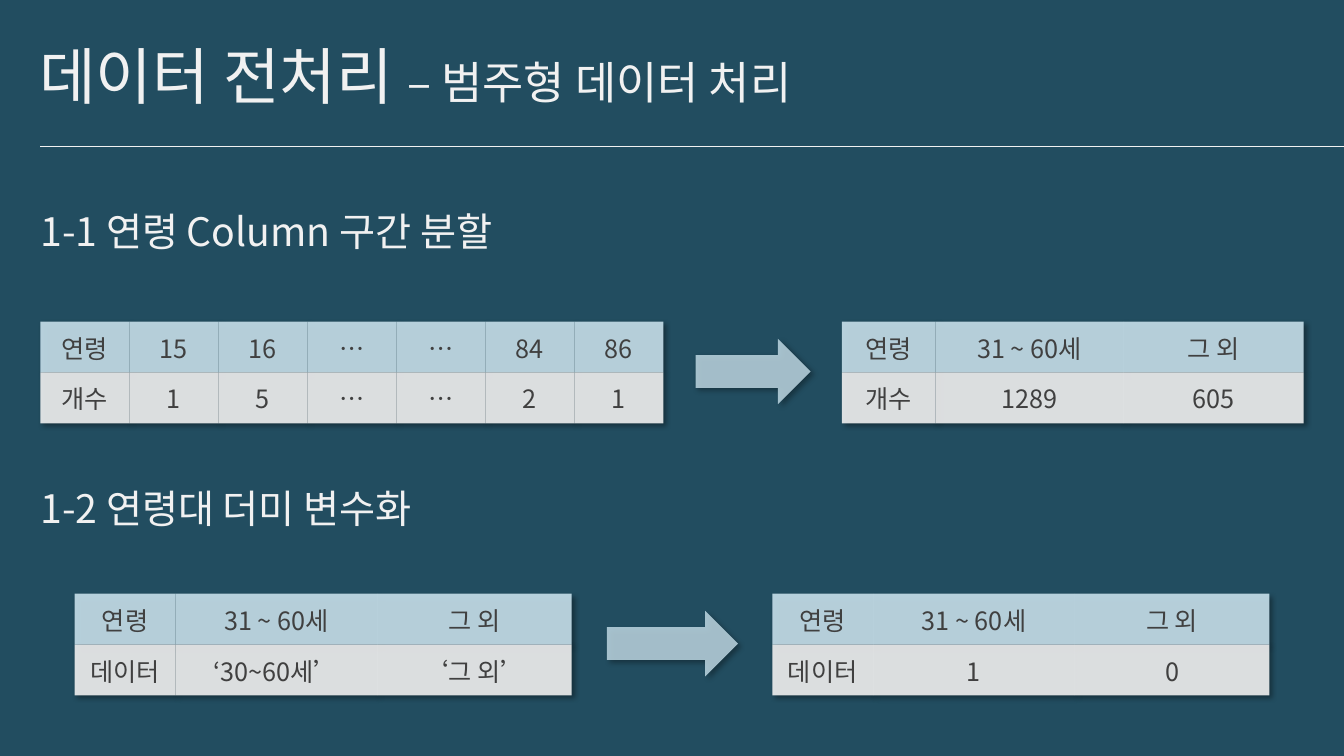
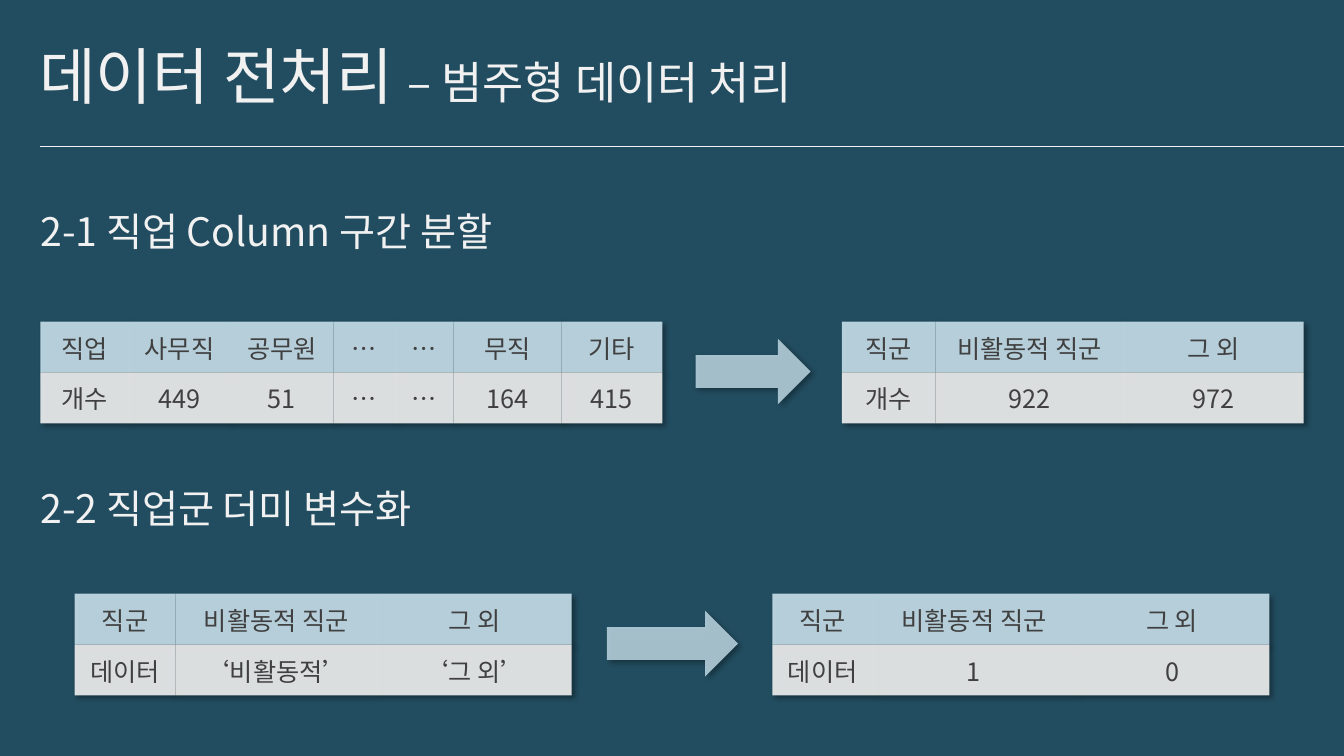
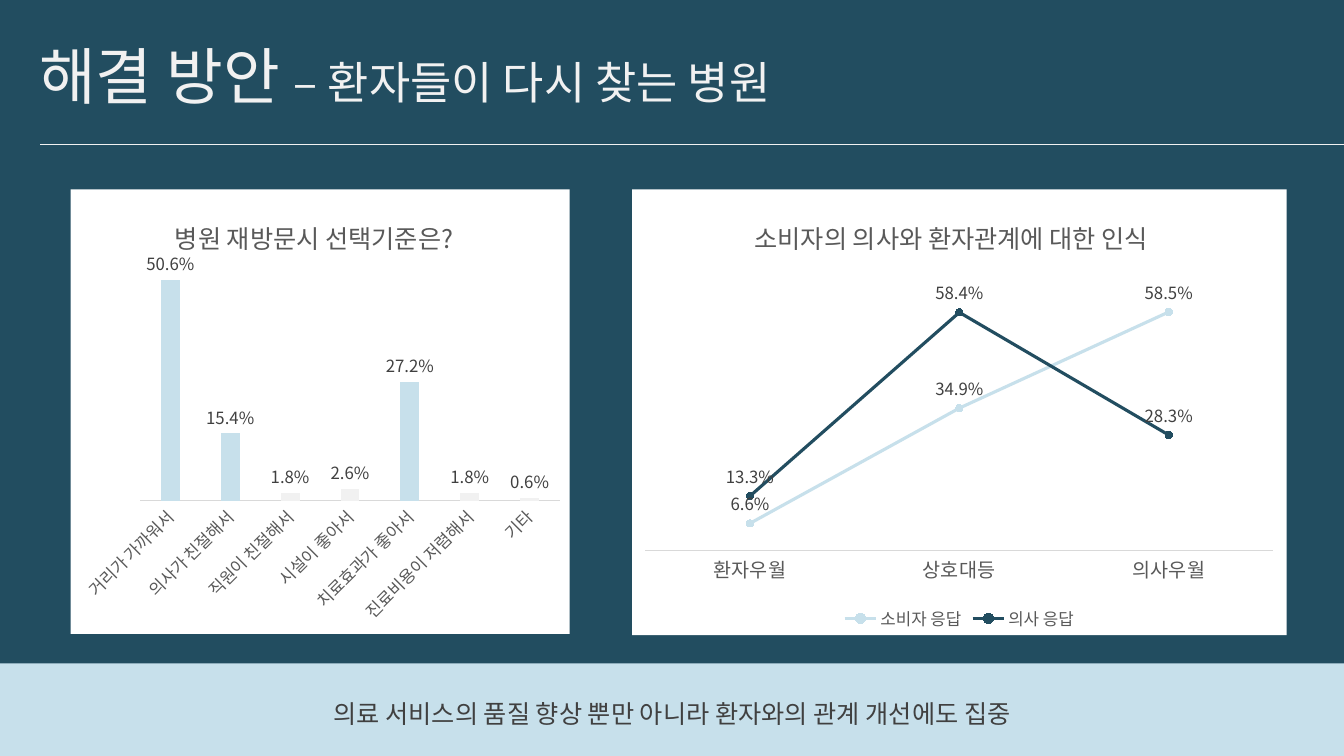
from dataclasses import dataclass

from lxml.etree import SubElement
from pptx import Presentation
from pptx.chart.data import CategoryChartData
from pptx.dml.color import RGBColor
from pptx.enum.chart import XL_CHART_TYPE as ChartType
from pptx.enum.chart import XL_LABEL_POSITION as LabelPosition
from pptx.enum.chart import XL_LEGEND_POSITION as LegendPosition
from pptx.enum.chart import XL_MARKER_STYLE as MarkerStyle
from pptx.enum.chart import XL_TICK_MARK as TickMark
from pptx.enum.shapes import MSO_CONNECTOR as Connector
from pptx.enum.shapes import MSO_SHAPE as Shape
from pptx.enum.text import MSO_ANCHOR as Anchor
from pptx.enum.text import MSO_AUTO_SIZE as AutoSize
from pptx.enum.text import PP_ALIGN as Align
from pptx.oxml import parse_xml
from pptx.oxml.ns import nsdecls, qn
from pptx.util import Inches, Pt


@dataclass(frozen=True)
class Theme:
    """Colours, type sizes and measures shared by the slides."""

    font: str = "Noto Sans CJK KR"
    navy: str = "224D60"
    sky: str = "C7E0EB"
    pale: str = "F1F1F1"
    ink: str = "404040"
    grey: str = "595959"
    rule: str = "D9D9D9"
    white: str = "FFFFFF"
    title: int = 44
    subtitle: int = 32
    heading: int = 28
    body: int = 18
    axis: int = 14
    label: int = 12
    width: float = 13.33
    margin: float = 0.4
    table_height: float = 1.01
    arrow_height: float = 0.65
    arrow_drop: float = 0.17


THEME = Theme()
NO_STYLE = "{2D5ABB26-0587-4C30-8999-92F81FD0307C}"


def rgb(value):
    """Turn a hex string into a colour."""
    return RGBColor.from_string(value)


def box(left, top, width, height):
    """Convert a frame given in inches."""
    return [Inches(length) for length in (left, top, width, height)]


def paint(filled, color, opacity=100):
    """Fill solidly, with optional transparency."""
    filled.fill.solid()
    filled.fill.fore_color.rgb = rgb(color)
    if opacity < 100:
        for tint in filled._element.iter(qn("a:srgbClr")):
            SubElement(tint, qn("a:alpha"), val=str(opacity * 1000))


def set_font(font, color, size=None):
    """Set typeface, colour and size."""
    font.name = THEME.font
    font.color.rgb = rgb(color)
    if size:
        font.size = Pt(size)


def add_east_asian(element):
    """Use the theme typeface for Hangul too."""
    for defaults in element.iter(qn("a:defRPr")):
        if defaults.find(qn("a:ea")) is None:
            SubElement(defaults, qn("a:ea"), typeface=THEME.font)


def style_paragraph(paragraph, color, size=None, spacing=None, align=None):
    """Format one paragraph."""
    paragraph.alignment = align
    paragraph.line_spacing = spacing
    set_font(paragraph.font, color, size)
    add_east_asian(paragraph._p)


def set_margins(frame, left, top, right, bottom):
    """Set the text insets in inches."""
    frame.margin_left, frame.margin_top = Inches(left), Inches(top)
    frame.margin_right, frame.margin_bottom = Inches(right), Inches(bottom)


def drop_shadow():
    """Make the effect list of the soft shadow."""
    return parse_xml(
        f'<a:effectLst {nsdecls("a")}><a:outerShdw blurRad="50800" dist="38100"'
        ' dir="2700000" algn="tl" rotWithShape="0"><a:prstClr val="black">'
        '<a:alpha val="40000"/></a:prstClr></a:outerShdw></a:effectLst>'
    )


def add_text(slide, frame_box, inset, spacing=0.9):
    """Add a bottom-anchored text box and return its text frame."""
    frame = slide.shapes.add_textbox(*box(*frame_box)).text_frame
    frame.word_wrap = True
    frame.vertical_anchor = Anchor.BOTTOM
    set_margins(frame, *[inset] * 4)
    style_paragraph(frame.paragraphs[0], THEME.pale, spacing=spacing)
    return frame


def add_slide(prs, topic, subtopic, rule_top=1.45):
    """Add a slide with background, two-size title and rule."""
    slide = prs.slides.add_slide(prs.slide_layouts[6])
    paint_background = slide.background.fill
    paint_background.solid()
    paint_background.fore_color.rgb = rgb(THEME.navy)
    title = add_text(slide, (0, 0, THEME.width, 1.45), 0.39).paragraphs[0]
    for words, size in ((topic + " ", THEME.title), ("– " + subtopic, THEME.subtitle)):
        run = title.add_run()
        run.text = words
        run.font.size = Pt(size)
    rule = slide.shapes.add_connector(
        Connector.STRAIGHT, Inches(THEME.margin), Inches(rule_top),
        Inches(THEME.width), Inches(rule_top))
    rule.line.color.rgb = rgb(THEME.pale)
    rule.line.width = Pt(0.5)
    SubElement(rule._element.spPr, qn("a:effectLst"))
    return slide


def add_heading(slide, top, words):
    """Add a section heading."""
    frame = add_text(slide, (THEME.margin, top, 6.74, 0.42), 0)
    frame.auto_size = AutoSize.SHAPE_TO_FIT_TEXT
    frame.paragraphs[0].text = words
    frame.paragraphs[0].font.size = Pt(THEME.heading)


def add_arrow(slide, left, top, width):
    """Add a translucent block arrow."""
    arrow = slide.shapes.add_shape(
        Shape.RIGHT_ARROW, *box(left, top, width, THEME.arrow_height))
    paint(arrow, THEME.sky, 80)
    arrow.line.fill.background()
    arrow.shadow.inherit = False
    properties = arrow._element.spPr
    properties.replace(properties.find(qn("a:effectLst")), drop_shadow())


def fill_cell(cell, words, color):
    """Write and format one table cell."""
    cell.text = words
    cell.vertical_anchor = Anchor.MIDDLE
    set_margins(cell, 0.12, 0.06, 0.12, 0.06)
    style_paragraph(cell.text_frame.paragraphs[0], THEME.ink, THEME.body,
                    align=Align.CENTER)
    cell.fill.solid()
    cell.fill.fore_color.rgb = rgb(color)
    for tint in cell._tc.tcPr.iter(qn("a:srgbClr")):
        SubElement(tint, qn("a:alpha"), val="90000")


def add_data_table(slide, left, top, widths, rows):
    """Add a shadowed table with a header row and a value row."""
    table = slide.shapes.add_table(
        len(rows), len(widths),
        *box(left, top, sum(widths), THEME.table_height)).table
    table.first_row = table.horz_banding = False
    properties = table._tbl.tblPr
    properties.find(qn("a:tableStyleId")).text = NO_STYLE
    properties.insert(0, drop_shadow())
    for column, width in zip(table.columns, widths):
        column.width = Inches(width)
    for row, words, color in zip(table.rows, rows, (THEME.sky, THEME.pale)):
        for cell, word in zip(row.cells, words):
            fill_cell(cell, word, color)


def add_conversion(slide, heading, heading_top, top, before, arrow, after):
    """Add a heading above a before table, an arrow and an after table."""
    add_heading(slide, heading_top, heading)
    add_data_table(slide, before[0], top, *before[1:])
    add_arrow(slide, arrow[0], top + THEME.arrow_drop, arrow[1])
    add_data_table(slide, after[0], top, *after[1:])


def add_preprocessing(prs, split_heading, counts_widths, counts, grouped,
                      dummy_heading, labels):
    """Add a slide that groups a column, then turns it into dummies."""
    slide = add_slide(prs, "데이터 전처리", "범주형 데이터 처리")
    groups = grouped[0]
    add_conversion(
        slide, split_heading, 2.11, 3.19,
        (THEME.margin, counts_widths, counts), (6.9, 1.14),
        (8.35, [0.93, 1.86, 1.79], grouped))
    dummy_widths = [1, 2, 1.93]
    add_conversion(
        slide, dummy_heading, 4.86, 5.89,
        (0.74, dummy_widths, [groups, ["데이터", *labels]]), (6.02, 1.3),
        (7.66, dummy_widths, [groups, ["데이터", "1", "0"]]))


def manual_layout(x, y, width=None, height=None):
    """Make a chart layout from fractions of the chart frame."""
    target = '<c:layoutTarget val="inner"/>' if width else ""
    parts = [("xMode", "edge"), ("yMode", "edge"), ("x", x), ("y", y)]
    if width:
        parts += [("w", width), ("h", height)]
    inner = "".join(f'<c:{tag} val="{value}"/>' for tag, value in parts)
    return parse_xml(f'<c:layout {nsdecls("c")}><c:manualLayout>{target}{inner}'
                     "</c:manualLayout></c:layout>")


def place(element, layout, after=None):
    """Give a chart part its layout, as first child or after a tag."""
    old = element.find(qn("c:layout"))
    if old is not None:
        element.remove(old)
    if after:
        element.find(qn(after)).addnext(layout)
    else:
        element.insert(0, layout)


def add_percent_chart(slide, kind, frame, title, title_at, plot_at, maximum,
                      axis_size, categories, series):
    """Add a white chart of percentages without a value axis."""
    data = CategoryChartData(number_format="0.0%")
    data.categories = categories
    for name, values in series:
        data.add_series(name, values)
    chart = slide.shapes.add_chart(kind, *box(*frame), data).chart
    set_font(chart.font, THEME.grey, THEME.label)
    chart.has_legend = False
    chart.has_title = True
    title_frame = chart.chart_title.text_frame
    title_frame.text = title
    set_font(title_frame.paragraphs[0].font, THEME.grey, THEME.body)
    title_frame.paragraphs[0].font.bold = False
    place(chart.chart_title._element, manual_layout(*title_at), "c:tx")
    place(chart.element.chart.plotArea, manual_layout(*plot_at))

    chart.value_axis.visible = False
    chart.value_axis.has_major_gridlines = False
    chart.value_axis.minimum_scale = 0
    chart.value_axis.maximum_scale = maximum
    category_axis = chart.category_axis
    category_axis.major_tick_mark = category_axis.minor_tick_mark = TickMark.NONE
    category_axis.format.line.color.rgb = rgb(THEME.rule)
    category_axis.format.line.width = Pt(0.75)
    set_font(category_axis.tick_labels.font, THEME.grey, axis_size)

    plot = chart.plots[0]
    plot.vary_by_categories = False
    plot.has_data_labels = True
    labels = plot.data_labels
    labels.show_value = True
    labels.number_format = "0.0%"
    labels.number_format_is_linked = False
    set_font(labels.font, THEME.ink, THEME.label)

    chart.element.chart.addnext(parse_xml(
        f'<c:spPr {nsdecls("c", "a")}><a:solidFill><a:srgbClr val="{THEME.white}"/>'
        "</a:solidFill><a:ln><a:noFill/></a:ln></c:spPr>"))
    return chart


def add_reasons_chart(slide):
    """Add the column chart of reasons for returning."""
    reasons = ["거리가 가까워서", "의사가 친절해서", "직원이 친절해서", "시설이 좋아서",
               "치료효과가 좋아서", "진료비용이 저렴해서", "기타"]
    shares = [0.506, 0.154, 0.018, 0.026, 0.272, 0.018, 0.006]
    chart = add_percent_chart(
        slide, ChartType.COLUMN_CLUSTERED, (0.7, 1.88, 4.95, 4.41),
        "병원 재방문시 선택기준은?", (0.2, 0.05), (0.14, 0.16, 0.84, 0.54),
        0.55, THEME.label, reasons, [("Series 1", shares)])
    plot = chart.plots[0]
    plot.gap_width, plot.overlap = 219, -27
    plot.data_labels.position = LabelPosition.OUTSIDE_END
    columns = plot.series[0]
    paint(columns.format, THEME.sky)
    for index, share in enumerate(shares):
        if share < 0.1:
            paint(columns.points[index].format, THEME.pale)
    axis_text = chart.category_axis._element.find(qn("c:txPr"))
    axis_text.find(qn("a:bodyPr")).set("rot", "-2700000")
    add_east_asian(chart.element)


def add_relationship_chart(slide):
    """Add the line chart of how both sides see the relationship."""
    chart = add_percent_chart(
        slide, ChartType.LINE_MARKERS, (6.27, 1.88, 6.49, 4.42),
        "소비자의 의사와 환자관계에 대한 인식", (0.18, 0.05), (0.02, 0.17, 0.96, 0.64),
        0.7, THEME.axis, ["환자우월", "상호대등", "의사우월"],
        [("소비자 응답", [0.066, 0.349, 0.585]), ("의사 응답", [0.133, 0.584, 0.283])])
    chart.plots[0].data_labels.position = LabelPosition.ABOVE
    for answers, color in zip(chart.plots[0].series, (THEME.sky, THEME.navy)):
        answers.smooth = False
        answers.format.line.color.rgb = rgb(color)
        answers.format.line.width = Pt(2.25)
        answers.marker.style = MarkerStyle.CIRCLE
        answers.marker.size = 5
        paint(answers.marker.format, color)
        answers.marker.format.line.color.rgb = rgb(color)
    chart.has_legend = True
    chart.legend.position = LegendPosition.BOTTOM
    chart.legend.include_in_layout = False
    set_font(chart.legend.font, THEME.grey, THEME.label)
    add_east_asian(chart.element)


def add_conclusion(slide, words):
    """Add the full-width band with the closing message."""
    band = slide.shapes.add_shape(Shape.RECTANGLE, *box(0, 6.58, THEME.width, 0.92))
    paint(band, THEME.sky)
    band.line.fill.background()
    band.shadow.inherit = False
    frame = band.text_frame
    frame.word_wrap = True
    frame.vertical_anchor = Anchor.MIDDLE
    set_margins(frame, 0.1, 0.2, 0.1, 0.28)
    frame.text = words
    style_paragraph(frame.paragraphs[0], THEME.ink, THEME.body, 1.5, Align.CENTER)


def main():
    """Build and save the presentation."""
    prs = Presentation()
    prs.slide_width, prs.slide_height = Inches(THEME.width), Inches(7.5)
    add_preprocessing(
        prs, "1-1 연령 Column 구간 분할", [6.18 / 7] * 7,
        [["연령", "15", "16", "…", "…", "84", "86"],
         ["개수", "1", "5", "…", "…", "2", "1"]],
        [["연령", "31 ~ 60세", "그 외"], ["개수", "1289", "605"]],
        "1-2 연령대 더미 변수화", ["‘30~60세’", "‘그 외’"])
    add_preprocessing(
        prs, "2-1 직업 Column 구간 분할", [0.88, 1, 1.03, 0.61, 0.58, 1.07, 1],
        [["직업", "사무직", "공무원", "…", "…", "무직", "기타"],
         ["개수", "449", "51", "…", "…", "164", "415"]],
        [["직군", "비활동적 직군", "그 외"], ["개수", "922", "972"]],
        "2-2 직업군 더미 변수화", ["‘비활동적’", "‘그 외’"])
    solution = add_slide(prs, "해결 방안", "환자들이 다시 찾는 병원", 1.43)
    add_conclusion(solution, "의료 서비스의 품질 향상 뿐만 아니라 환자와의 관계 개선에도 집중")
    add_reasons_chart(solution)
    add_relationship_chart(solution)
    prs.save("out.pptx")


if __name__ == "__main__":
    main()
